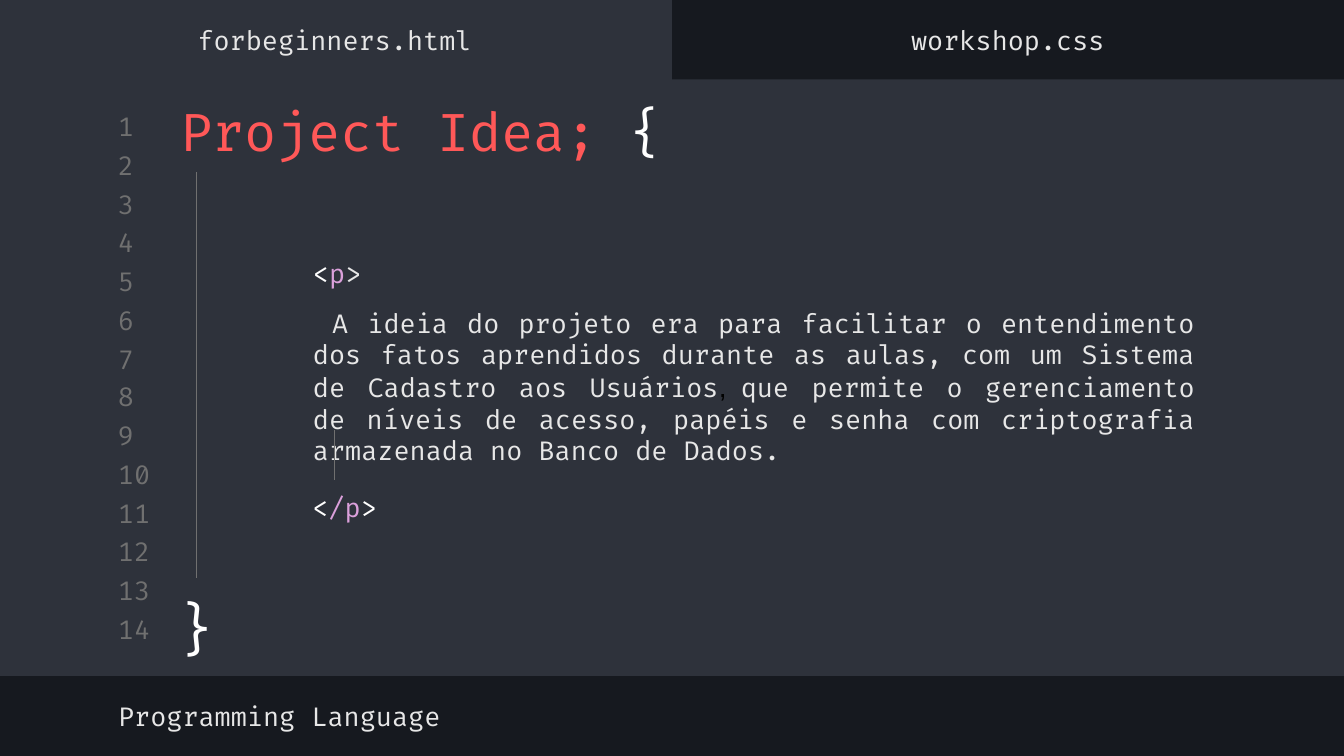
"""Build the Project Idea slide, styled as a code editor window."""
from dataclasses import dataclass
from typing import NamedTuple

from lxml import etree
from pptx import Presentation
from pptx import util as u
from pptx.dml.color import RGBColor
from pptx.enum import shapes, text
from pptx.oxml import ns

PX = 9144


@dataclass(frozen=True)
class Theme:
    back: str = "16191F"
    panel: str = "2E323B"
    muted: str = "707070"
    light: str = "E7E7E7"
    white: str = "FFFFFF"
    red: str = "FF5858"
    violet: str = "DBA0DB"
    black: str = "000000"
    code_font: str = "Fira Code"
    comma_font: str = "Arial"
    body: int = 14
    comma: int = 15
    title: int = 28
    brace: int = 30


THEME = Theme()


class Area(NamedTuple):
    left: int
    top: int
    width: int
    height: int


class Span(NamedTuple):
    words: str
    color: str = THEME.light
    size: int = THEME.body
    font: str = THEME.code_font


class Guide(NamedTuple):
    x: int
    top: int
    bottom: int


class Label(NamedTuple):
    area: Area
    spans: list[Span]
    align: text.PP_ALIGN = text.PP_ALIGN.LEFT
    anchor: text.MSO_ANCHOR = text.MSO_ANCHOR.MIDDLE


PANELS = [Area(0, 59, 1000, 444), Area(0, 0, 500, 65)]
GUIDES = [Guide(146, 128, 430), Guide(249, 320, 357)]
LINE_COUNT, FIRST_LINE, LAST_LINE = 14, 82, 456

TITLE_AREA = Area(124, 68, 442, 58)
TITLE = [Span("Project Idea; ", THEME.red, THEME.title),
         Span("{", THEME.white, THEME.title)]

BODY_AREA = Area(174, 99, 725, 340)
BODY = [
    [Span("<", THEME.white), Span("p", THEME.violet), Span(">")],
    [
        Span(" A ideia do projeto era para facilitar o entendimento dos fatos aprendidos "
             "durante as aulas, com um Sistema de Cadastro aos Usuários"),
        Span(", ", THEME.black, THEME.comma, THEME.comma_font),
        Span("que permite o gerenciamento de níveis de acesso, papéis e senha com "
             "criptografia armazenada no Banco de Dados. "),
    ],
]

CENTER, TOP = text.PP_ALIGN.CENTER, text.MSO_ANCHOR.TOP
LABELS = [
    Label(Area(119, 432, 55, 70), [Span("}", THEME.white, THEME.brace)], CENTER, TOP),
    Label(Area(220, 356, 73, 43),
          [Span("<", THEME.white), Span("/p", THEME.violet), Span(">", THEME.white)],
          CENTER, TOP),
    Label(Area(78, 513, 532, 39), [Span("Programming Language")]),
    Label(Area(-1, 10, 500, 39), [Span("forbeginners.html")], CENTER),
    Label(Area(500, 10, 500, 39), [Span("workshop.css")], CENTER),
]


def rgb(color: str) -> RGBColor:
    """Turn a hex string into a colour."""
    return RGBColor.from_string(color)


def emu(area: Area) -> list[int]:
    """Scale an area from px to EMU."""
    return [length * PX for length in area]


def write(box, paras: list[list[Span]], *, align=text.PP_ALIGN.LEFT,
          anchor=text.MSO_ANCHOR.MIDDLE, before: int = 0, indent: int = 0) -> None:
    """Fill a box with formatted paragraphs."""
    frame = box.text_frame
    frame.word_wrap = True
    frame.auto_size = text.MSO_AUTO_SIZE.NONE
    frame.vertical_anchor = anchor
    frame.margin_left = frame.margin_right = 10 * PX
    frame.margin_top = frame.margin_bottom = 10 * PX
    for index, spans in enumerate(paras):
        para = frame.add_paragraph() if index else frame.paragraphs[0]
        para.alignment = align
        para.space_before = u.Pt(before)
        if indent:
            para._p.get_or_add_pPr().set("marL", str(indent * PX))
        for span in spans:
            run = para.add_run()
            run.text = span.words
            run.font.name = span.font
            run.font.size = u.Pt(span.size)
            run.font.color.rgb = rgb(span.color)


def add_text(page, area: Area, paras: list[list[Span]], **style) -> None:
    """Add a text box with formatted paragraphs."""
    write(page.shapes.add_textbox(*emu(area)), paras, **style)


def add_panel(page, area: Area) -> None:
    """Draw one flat editor panel."""
    panel = page.shapes.add_shape(shapes.MSO_SHAPE.RECTANGLE, *emu(area))
    panel.shadow.inherit = False
    panel.fill.solid()
    panel.fill.fore_color.rgb = rgb(THEME.panel)
    panel.line.fill.background()


def add_guide(page, guide: Guide) -> None:
    """Draw one vertical indent guide."""
    line = page.shapes.add_connector(
        shapes.MSO_CONNECTOR.STRAIGHT,
        guide.x * PX, guide.top * PX, guide.x * PX, guide.bottom * PX)
    line.line.color.rgb = rgb(THEME.muted)
    line.line.width = u.Pt(0.75)
    etree.SubElement(line._element.spPr, ns.qn("a:effectLst"))


def place_title(page, area: Area, spans: list[Span]) -> None:
    """Move the title placeholder above the panels and format it."""
    title = page.shapes.title
    title.left, title.top, title.width, title.height = emu(area)
    write(title, [spans])
    title._element.getparent().append(title._element)


def add_line_numbers(page) -> None:
    """Number the editor lines at an equal pitch."""
    pitch = (LAST_LINE - FIRST_LINE) / (LINE_COUNT - 1)
    for index in range(LINE_COUNT):
        area = Area(78, round(FIRST_LINE + index * pitch), 47, 24)
        add_text(page, area, [[Span(str(index + 1), THEME.muted)]])


def main() -> None:
    """Build and save the deck."""
    deck = Presentation()
    deck.slide_width = 1000 * PX
    deck.slide_height = deck.slide_width * 9 // 16
    page = deck.slides.add_slide(deck.slide_layouts.get_by_name("Title Only"))
    page.background.fill.solid()
    page.background.fill.fore_color.rgb = rgb(THEME.back)
    for area in PANELS:
        add_panel(page, area)
    add_line_numbers(page)
    place_title(page, TITLE_AREA, TITLE)
    add_text(page, BODY_AREA, BODY, align=text.PP_ALIGN.JUSTIFY, before=10, indent=49)
    for guide in GUIDES:
        add_guide(page, guide)
    for label in LABELS:
        add_text(page, label.area, [label.spans], align=label.align, anchor=label.anchor)
    deck.save("out.pptx")


if __name__ == "__main__":
    main()
